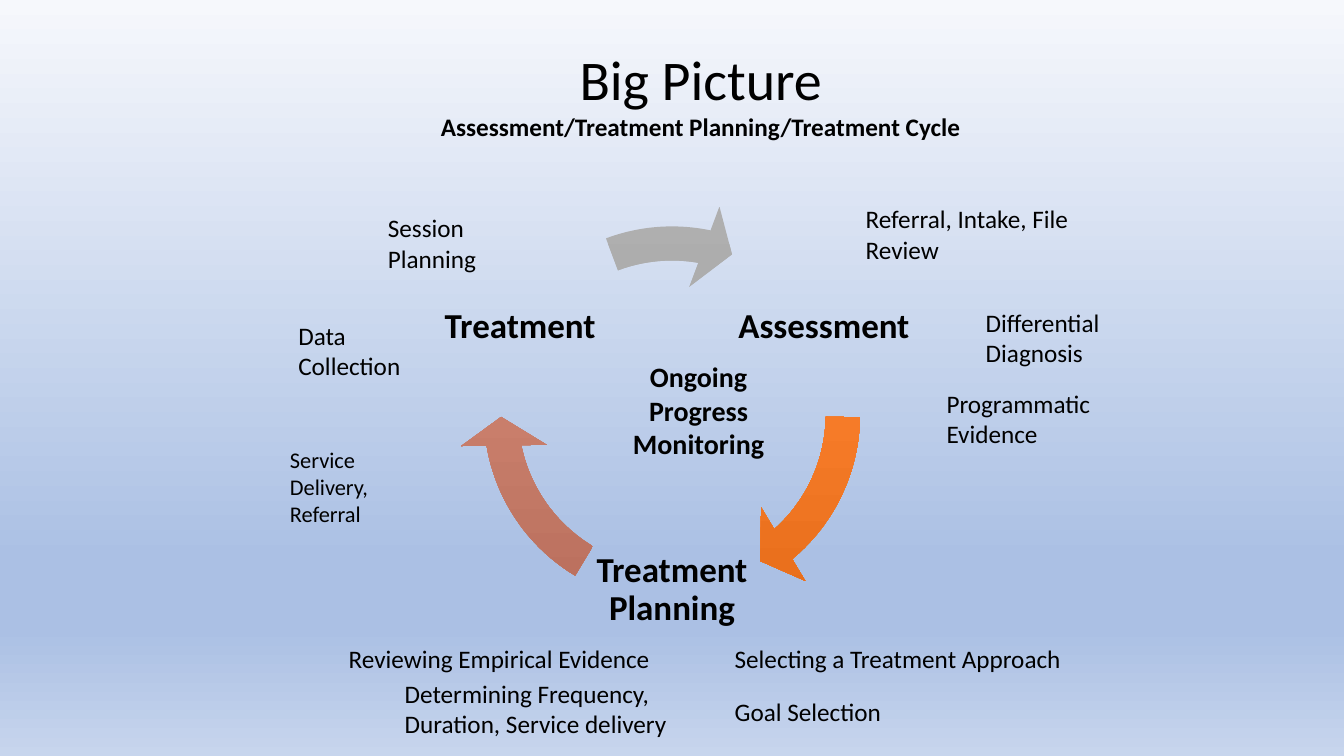
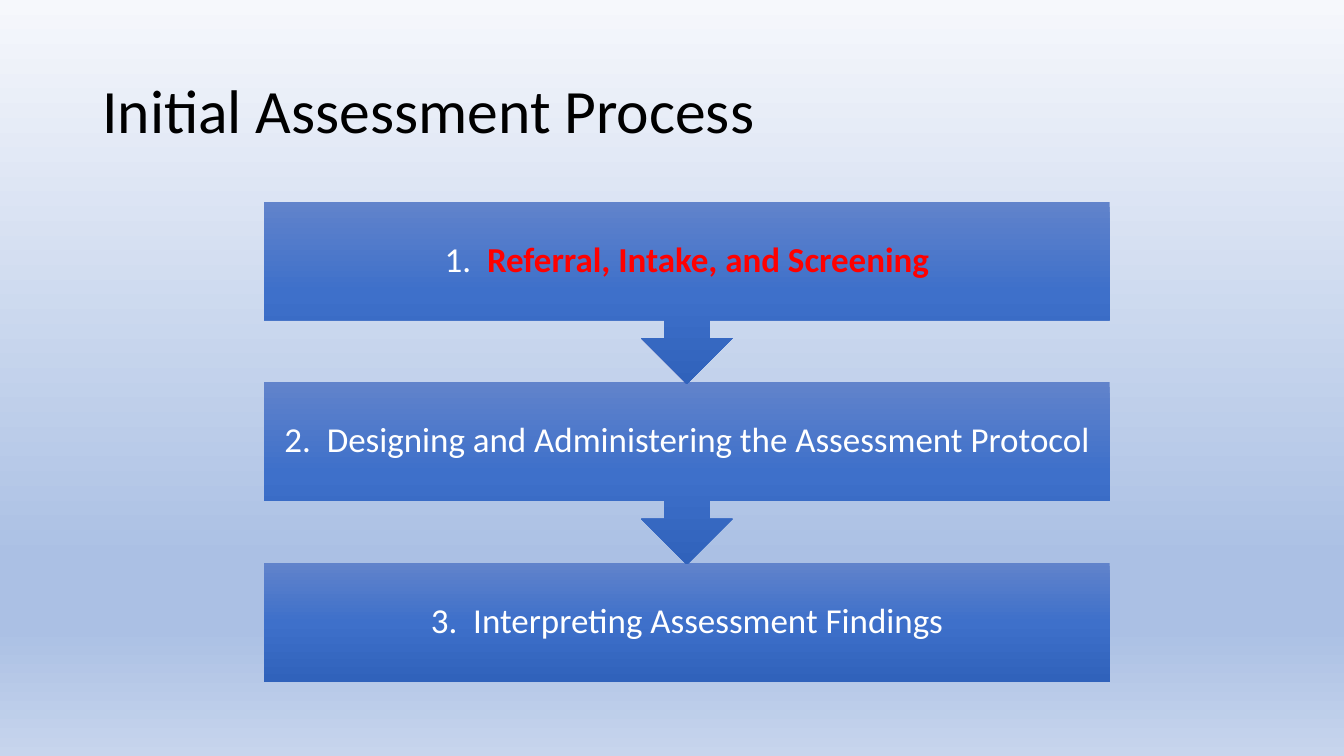
from copy import deepcopy

from pptx import Presentation
from pptx.dml.color import RGBColor
from pptx.enum.shapes import MSO_SHAPE as Preset
from pptx.enum.text import MSO_ANCHOR as Anchor, PP_ALIGN as Align
from pptx.oxml.ns import qn
from pptx.util import Pt

FONT = "Calibri"
BLACK = RGBColor(0x00, 0x00, 0x00)
WHITE = RGBColor(0xFF, 0xFF, 0xFF)
RED = RGBColor(0xFF, 0x00, 0x00)
MIST = RGBColor(0xF6, 0xF8, 0xFC)
SKY = RGBColor(0xAB, 0xC0, 0xE4)
HAZE = RGBColor(0xC7, 0xD5, 0xED)

BACKDROP = ((0, MIST), (0.74, SKY), (0.83, SKY), (1, HAZE))


def shades(light, middle, dark):
    return tuple(zip((0, 0.5, 1), map(RGBColor.from_string, (light, middle, dark))))


ORANGE = shades("F18C57", "F67B28", "E56C19")
CLAY = shades("CB8F81", "C97E6B", "B76D5B")
GRAY = shades("AFAFAF", "A5A5A5", "939393")
BLUE = shades("6183CB", "3E70CA", "3062BB")


class Deck:
    def __init__(self):
        self.prs = Presentation()
        self.prs.slide_width, self.prs.slide_height = Pt(960), Pt(540)
        self.slide = None

    def add_slide(self):
        self.slide = self.prs.slides.add_slide(self.prs.slide_layouts[6])
        self.gradient(self.slide.background.fill, self.slide.element, BACKDROP)

    def gradient(self, fill, owner, stops):
        fill.gradient()
        fill.gradient_angle = 270
        stop_list = next(owner.iter(qn("a:gsLst")))
        while len(stop_list) < len(stops):
            stop_list.append(deepcopy(stop_list[0]))
        for stop, (position, color) in zip(fill.gradient_stops, stops):
            stop.position = position
            stop.color.rgb = color

    def shape(self, preset, box, stops):
        shape = self.slide.shapes.add_shape(preset, *map(Pt, box))
        shape.shadow.inherit = False
        shape.line.fill.background()
        self.gradient(shape.fill, shape.element, stops)
        return shape

    def frame(self, frame, anchor, inset):
        frame.word_wrap = True
        frame.vertical_anchor = anchor
        if inset is not None:
            frame.margin_left = frame.margin_right = Pt(inset)
            frame.margin_top = frame.margin_bottom = Pt(inset)

    def style(self, paragraph, size, bold=False, align=Align.LEFT, spacing=None, color=BLACK):
        paragraph.alignment = align
        paragraph.line_spacing = spacing
        font = paragraph.font
        font.name, font.size, font.bold = FONT, Pt(size), bold
        font.color.rgb = color

    def text(self, box, words, size=18, anchor=Anchor.TOP, inset=None, **style):
        frame = self.slide.shapes.add_textbox(*map(Pt, box)).text_frame
        self.frame(frame, anchor, inset)
        frame.text = words
        self.style(frame.paragraphs[0], size, **style)
        return frame

    def stage(self, left, top, words):
        self.text((left, top, 129, 129), words, 25, Anchor.MIDDLE, 2.4,
                  bold=True, align=Align.CENTER, spacing=0.9)

    def cycle_arrow(self, end, start, stops):
        arrow = self.shape(Preset.CIRCULAR_ARROW, (327.4, 143.4, 305.2, 305.2), stops)
        for index, value in enumerate((0.08, 5.76, end, start, 0.1)):
            arrow.adjustments[index] = value

    def step(self, top, number, words, color, bold, last):
        preset, height = (Preset.RECTANGLE, 85) if last else (Preset.DOWN_ARROW_CALLOUT, 130.3)
        frame = self.shape(preset, (188.6, top, 604.1, height), BLUE).text_frame
        self.frame(frame, Anchor.MIDDLE, 12)
        paragraph = frame.paragraphs[0]
        self.style(paragraph, 25, align=Align.CENTER, spacing=0.9, color=WHITE)
        for content, run_color, run_bold in ((f"{number}.  ", WHITE, False), (words, color, bold)):
            run = paragraph.add_run()
            run.text = content
            run.font.color.rgb = run_color
            run.font.bold = run_bold


def big_picture(deck):
    deck.add_slide()
    deck.stage(524, 169, "Assessment")
    deck.cycle_arrow(29.64, 0.52, ORANGE)
    deck.stage(415.5, 357, "Treatment Planning")
    deck.cycle_arrow(101.73, 72.6, CLAY)
    deck.stage(307, 169, "Treatment")
    deck.cycle_arrow(168.57, 149.67, GRAY)

    heading = deck.text((206, 28, 589, 78), "Big Picture", 40, align=Align.CENTER)
    subtitle = heading.add_paragraph()
    subtitle.text = "Assessment/Treatment Planning/Treatment Cycle"
    deck.style(subtitle, 18, bold=True, align=Align.CENTER)

    deck.text((430, 253.4, 138, 80), "Ongoing Progress Monitoring", 20,
              bold=True, align=Align.CENTER)
    activities = (
        (611.3, 142, 172, 51, "Referral, Intake, File Review"),
        (697, 216, 119.5, 51, "Differential Diagnosis"),
        (669, 273.6, 126, 51, "Programmatic Evidence"),
        (242, 456, 258.5, 29, "Reviewing Empirical Evidence"),
        (517.7, 456, 277, 29, "Selecting a Treatment Approach"),
        (282, 481, 235.4, 51, "Determining Frequency, Duration, Service delivery"),
        (517.7, 494, 227, 29, "Goal Selection"),
        (270, 148.3, 101.5, 51, "Session Planning"),
        (206, 225.4, 101, 51, "Data Collection"),
    )
    for *box, words in activities:
        deck.text(box, words)
    deck.text((200, 315.4, 106.6, 65.5), "Service Delivery, Referral", 16)


def initial_assessment(deck):
    deck.add_slide()
    deck.text((66, 28.8, 828, 104.4), "Initial Assessment Process", 44, Anchor.MIDDLE, spacing=0.9)
    steps = (
        ("Referral, Intake, and Screening", RED, True),
        ("Designing and Administering the Assessment Protocol", WHITE, False),
        ("Interpreting Assessment Findings", WHITE, False),
    )
    for number in range(len(steps), 0, -1):
        deck.step(144 + 128.9 * (number - 1), number, *steps[number - 1], last=number == len(steps))


def main():
    deck = Deck()
    big_picture(deck)
    initial_assessment(deck)
    deck.prs.save("out.pptx")


if __name__ == "__main__":
    main()
